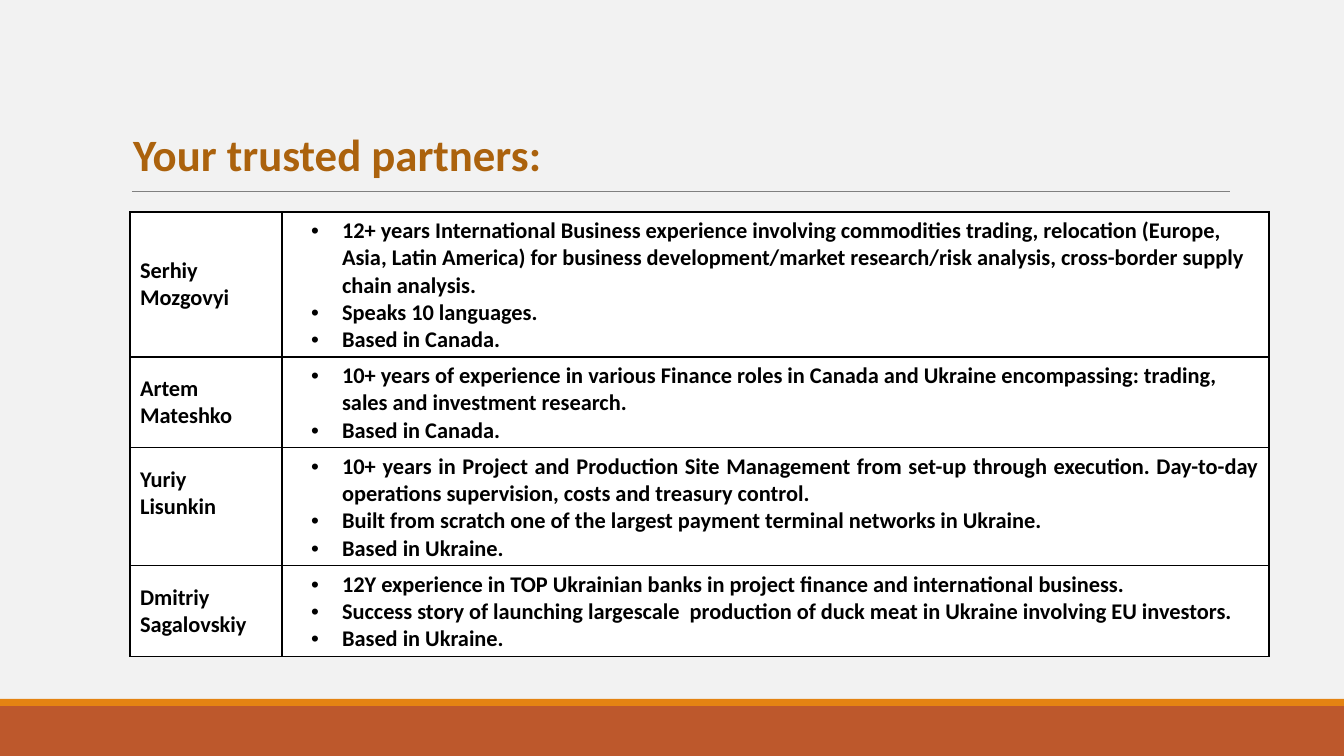
from lxml import etree
from pptx import Presentation
from pptx.dml.color import RGBColor
from pptx.enum import shapes, text
from pptx.oxml import ns
from pptx.util import Pt

PX = 914400 / 100.8
WIDTH, HEIGHT = 1344, 756
FONT = "Calibri"
LEFT, JUSTIFY = text.PP_ALIGN.LEFT, text.PP_ALIGN.JUSTIFY

# First name, surname, row height, lower name margin, alignment, experience
PARTNERS = [
    ("Serhiy", "Mozgovyi", 145, 5, LEFT, [
        "12+ years International Business experience involving commodities trading, "
        "relocation (Europe, Asia, Latin America) for business development/market "
        "research/risk analysis, cross-border supply chain analysis.",
        "Speaks 10 languages.",
        "Based in Canada."]),
    ("Artem", "Mateshko", 90, 5, LEFT, [
        "10+ years of experience in various Finance roles in Canada and Ukraine "
        "encompassing: trading, sales and investment research.",
        "Based in Canada."]),
    ("Yuriy", "Lisunkin", 118, 32, JUSTIFY, [
        "10+ years in Project and Production Site Management from set-up through "
        "execution. Day-to-day operations supervision, costs and treasury control.",
        "Built from scratch one of the largest payment terminal networks in Ukraine.",
        "Based in Ukraine."]),
    ("Dmitriy", "Sagalovskiy", 90, 5, JUSTIFY, [
        "12Y experience in TOP Ukrainian banks in project finance and international "
        "business.",
        "Success story of launching largescale  production of duck meat in Ukraine "
        "involving EU investors.",
        "Based in Ukraine."]),
]


def px(length):
    return round(length * PX)


def paint(fill, color):
    fill.solid()
    fill.fore_color.rgb = RGBColor.from_string(color)


def style(paragraph, size, color, align=LEFT):
    paragraph.alignment = align
    font = paragraph.font
    font.name, font.size, font.bold = FONT, Pt(size), True
    paint(font.fill, color)


def add_bullet(paragraph):
    paragraph.level = 1
    props = paragraph._p.get_or_add_pPr()
    props.set("marL", str(px(50)))
    props.set("indent", str(px(-31)))
    etree.SubElement(props, ns.qn("a:buFont")).set("typeface", "Arial")
    etree.SubElement(props, ns.qn("a:buChar")).set("char", "•")


def add_borders(cell, color):
    props = cell._tc.get_or_add_tcPr()
    for side in ("L", "R", "T", "B"):
        border = etree.SubElement(props, ns.qn("a:ln" + side), w=str(Pt(1)))
        solid = etree.SubElement(border, ns.qn("a:solidFill"))
        etree.SubElement(solid, ns.qn("a:srgbClr")).set("val", color)


def fill_cell(cell, lines, align, bulleted):
    add_borders(cell, "000000")
    paint(cell.fill, "FFFFFF")
    frame = cell.text_frame
    frame.text = "\n".join(lines)
    for paragraph in frame.paragraphs:
        if bulleted:
            add_bullet(paragraph)
        style(paragraph, 16, "000000", align)


def add_footer_bands(slide, top, height):
    stripe_height = 7
    for y, h, color in ((top, height, "BD582C"),
                        (top - stripe_height, stripe_height, "E48312")):
        band = slide.shapes.add_shape(
            shapes.MSO_SHAPE.RECTANGLE, 0, px(y), px(WIDTH), px(h))
        band.shadow.inherit = False
        paint(band.fill, color)
        band.line.fill.background()


def add_heading(slide, left, top, width, height):
    title = slide.shapes.title
    title.left, title.top, title.width, title.height = map(
        px, (left, top, width, height))
    frame = title.text_frame
    frame.text = "Your trusted partners:"
    frame.word_wrap = False
    frame.auto_size = text.MSO_AUTO_SIZE.SHAPE_TO_FIT_TEXT
    frame.vertical_anchor = text.MSO_ANCHOR.TOP
    style(frame.paragraphs[0], 32, "AB620D")

    # Rule under the heading
    rule_left, rule_y = px(left + 9), px(top + height + 5)
    rule = slide.shapes.add_connector(
        shapes.MSO_CONNECTOR.STRAIGHT,
        rule_left, rule_y, rule_left + px(1098), rule_y)
    paint(rule.line.fill, "808080")
    rule.line.width = Pt(0.5)
    etree.SubElement(rule._element.spPr, ns.qn("a:effectLst"))


def add_partners(slide, left, top, width, name_width):
    height = sum(partner[2] for partner in PARTNERS)
    table = slide.shapes.add_table(
        len(PARTNERS), 2, px(left), px(top), px(width), px(height)).table
    table.first_row = table.horz_banding = False
    table.columns[0].width = px(name_width)
    table.columns[1].width = px(width - name_width)
    for row, partner in zip(table.rows, PARTNERS):
        first, surname, row_height, lower_margin, align, experience = partner
        row.height = px(row_height)
        name, details = row.cells
        fill_cell(name, [first, surname], LEFT, bulleted=False)
        name.vertical_anchor = text.MSO_ANCHOR.MIDDLE
        name.margin_bottom = px(lower_margin)
        fill_cell(details, experience, align, bulleted=True)


def main():
    deck = Presentation()
    deck.slide_width, deck.slide_height = px(WIDTH), px(HEIGHT)
    slide = deck.slides.add_slide(deck.slide_layouts[5])
    paint(slide.background.fill, "F2F2F2")
    add_footer_bands(slide, 706, 50)
    add_heading(slide, 123, 122, 432, 64)
    add_partners(slide, 130, 212, 1139, 152)
    deck.save("out.pptx")


if __name__ == "__main__":
    main()
